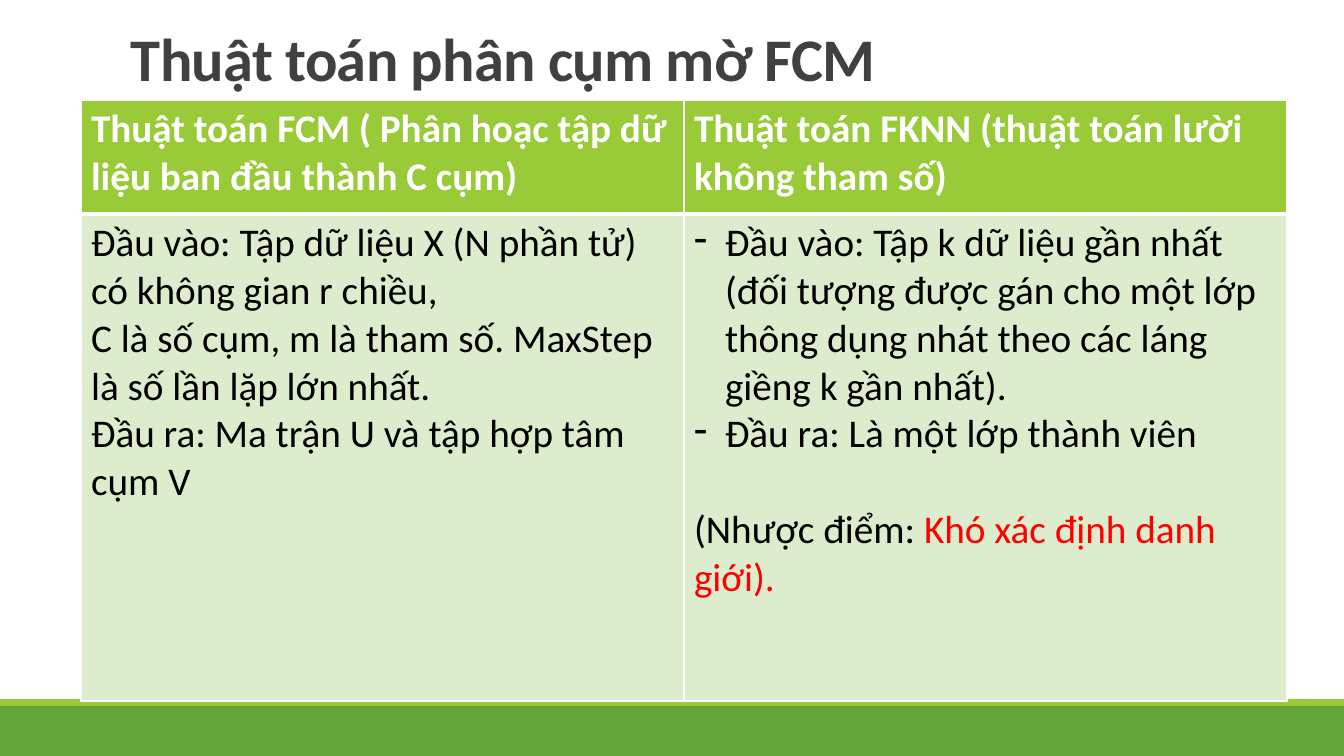
from lxml import etree
from pptx import Presentation
from pptx.dml.color import RGBColor
from pptx.enum.shapes import MSO_SHAPE
from pptx.enum.text import MSO_ANCHOR
from pptx.oxml.ns import qn
from pptx.util import Emu, Pt

RECT = MSO_SHAPE.RECTANGLE
BOTTOM = MSO_ANCHOR.BOTTOM
SCALE = 914400 / 100.8
WIDE, HIGH = 1344, 756
COLORS = {
    "dark": "63A537", "lime": "99CB38", "pale": "DEECCE", "title": "404040",
    "white": "FFFFFF", "black": "000000", "red": "FF0000",
}
TITLE = {"name": "Calibri", "size": Pt(43.2), "bold": True}
HEAD = {"name": "Calibri", "size": Pt(28), "bold": True}
BODY = {**HEAD, "bold": False}

# Each paragraph: runs of (text, color), then its layout
HEADS = [
    [([("Thuật toán FCM ( Phân hoạc tập dữ liệu ban đầu thành C cụm)", "white")], {})],
    [([("Thuật toán FKNN (thuật toán lười không tham số)", "white")], {})],
]
BODIES = [
    [
        ([("Đầu vào: Tập dữ liệu X (N phần tử) có không gian r chiều,", "black")], {}),
        ([("C là số cụm, m là tham số. MaxStep là số lần lặp lớn nhất.", "black")], {}),
        ([("Đầu ra: Ma trận U và tập hợp tâm cụm V", "black")], {}),
    ],
    [
        ([("Đầu vào: Tập k dữ liệu gần nhất (đối tượng được gán cho một lớp "
           "thông dụng nhát theo các láng giềng k gần nhất).", "black")], {"dash": 31}),
        ([("Đầu ra: Là một lớp thành viên", "black")], {"dash": 31}),
        ([("(Nhược điểm: ", "black"), ("Khó xác định danh giới).", "red")], {"gap": 34}),
    ],
]


def px(count):
    return Emu(round(count * SCALE))


def paint(fill, color):
    fill.solid()
    fill.fore_color.rgb = RGBColor.from_string(COLORS[color])


def add_run(para, text, color, style):
    run = para.add_run()
    run.text = text
    for key, value in style.items():
        setattr(run.font, key, value)
    run.font.color.rgb = RGBColor.from_string(COLORS[color])
    return run


def add_dash(para, indent):
    props = para._p.get_or_add_pPr()
    props.set("marL", str(px(indent)))
    props.set("indent", str(-px(indent)))
    etree.SubElement(props, qn("a:buChar"), char="-")


def write(frame, paras, style):
    for i, (runs, form) in enumerate(paras):
        para = frame.add_paragraph() if i else frame.paragraphs[0]
        if "gap" in form:
            para.space_before = Pt(form["gap"])
        if "dash" in form:
            add_dash(para, form["dash"])
        for text, color in runs:
            add_run(para, text, color, style)


def edge(cell, base):
    props = cell._tc.get_or_add_tcPr()
    for side in "LRTB":
        width = base if side == "B" else 1
        line = etree.SubElement(props, qn("a:ln" + side), w=str(Pt(width)))
        fill = etree.SubElement(line, qn("a:solidFill"))
        etree.SubElement(fill, qn("a:srgbClr"), val=COLORS["white"])


def add_foot(slide, left, top, width, height):
    # Thin lime strip above a dark band
    strip = 7
    for y, tall, color in ((top, strip, "lime"), (top + strip, height - strip, "dark")):
        bar = slide.shapes.add_shape(RECT, px(left), px(y), px(width), px(tall))
        bar.shadow.inherit = False
        bar.line.fill.background()
        paint(bar.fill, color)


def add_title(slide, left, top, width, height):
    box = slide.shapes.add_textbox(px(left), px(top), px(width), px(height))
    frame = box.text_frame
    frame.word_wrap = True
    frame.vertical_anchor = BOTTOM
    para = frame.paragraphs[0]
    para.line_spacing = 0.85
    run = add_run(para, "Thuật toán phân cụm mờ FCM", "title", TITLE)
    run._r.get_or_add_rPr().set("spc", "-50")


def add_grid(slide, left, top, width, height):
    head = 114
    table = slide.shapes.add_table(
        2, len(HEADS), px(left), px(top), px(width), px(height)).table
    table.horz_banding = False
    rows = ((HEADS, head, HEAD, "lime", 3), (BODIES, height - head, BODY, "pale", 1))
    for r, (texts, tall, style, color, base) in enumerate(rows):
        table.rows[r].height = px(tall)
        for c, paras in enumerate(texts):
            cell = table.cell(r, c)
            edge(cell, base)
            paint(cell.fill, color)
            write(cell.text_frame, paras, style)


def main():
    deck = Presentation()
    deck.slide_width, deck.slide_height = px(WIDE), px(HIGH)
    slide = deck.slides.add_slide(deck.slide_layouts[6])
    add_foot(slide, 0, 699, WIDE, 57)
    add_title(slide, 121, 31, 1109, 68)
    add_grid(slide, 81, 100, 1206, 601)
    deck.save("out.pptx")


if __name__ == "__main__":
    main()
